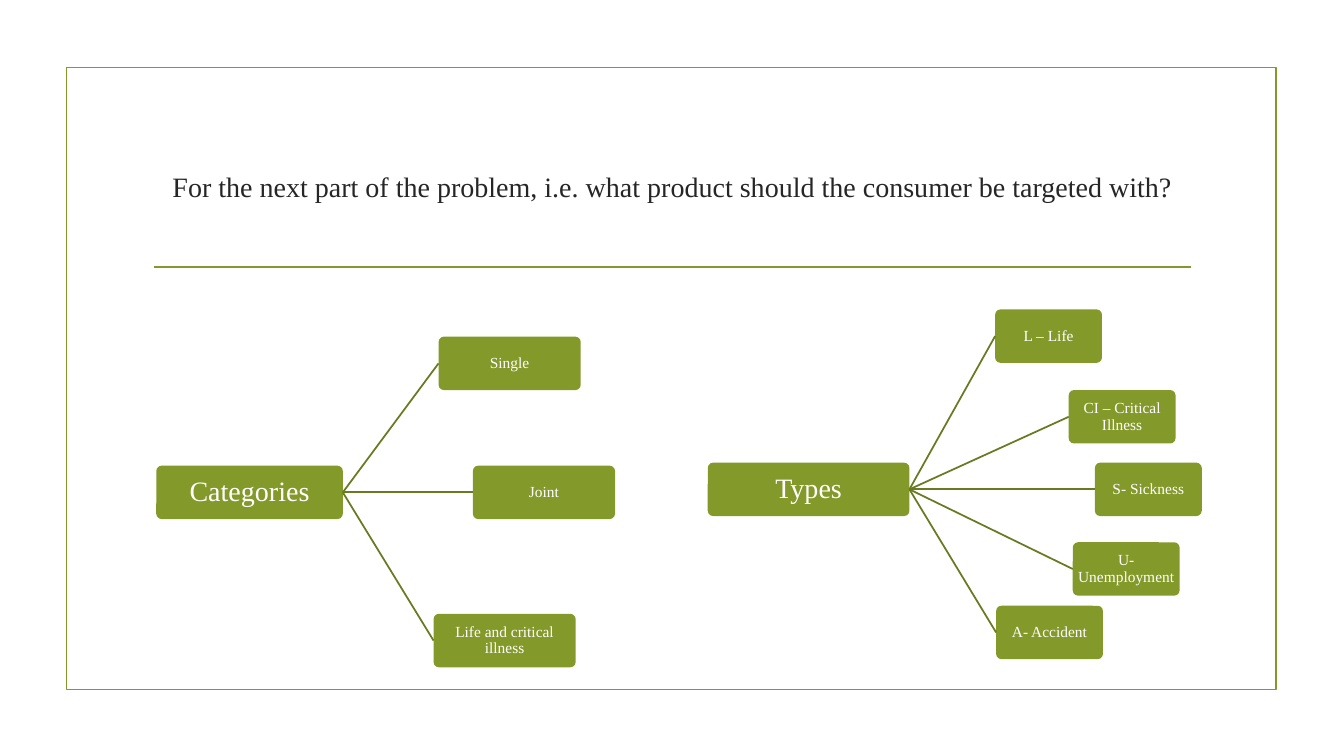
"""Build the slide of product categories and types as two branching diagrams."""
from lxml.etree import SubElement
from pptx import Presentation
from pptx.dml.color import RGBColor
from pptx.enum.shapes import MSO_CONNECTOR, MSO_SHAPE
from pptx.enum.text import MSO_ANCHOR, MSO_AUTO_SIZE, PP_ALIGN
from pptx.oxml.ns import qn
from pptx.util import Inches, Pt

TITLE = "For the next part of the problem, i.e. what product should the consumer be targeted with?"
DIAGRAMS = [
    {"root": ("Categories", 1.55, 4.62), "root_width": 1.85, "branch_width": 1.41,
     "branches": [("Single", 4.35, 3.34), ("Joint", 4.69, 4.62),
                  ("Life and critical illness", 4.3, 6.09)]},
    {"root": ("Types", 7.02, 4.59), "root_width": 2, "branch_width": 1.06,
     "branches": [("L – Life", 9.87, 3.07), ("CI – Critical Illness", 10.6, 3.87),
                  ("S- Sickness", 10.86, 4.59), ("U- Unemployment", 10.64, 5.38),
                  ("A- Accident", 9.88, 6.01)]},
]

GREEN = RGBColor(0x83, 0x99, 0x2A)
DARK_GREEN = RGBColor(0x69, 0x7B, 0x22)
WHITE = RGBColor(0xFF, 0xFF, 0xFF)
CHARCOAL = RGBColor(0x26, 0x26, 0x26)
FONT = "Times New Roman"
LINE_WIDTH = Pt(1.25)
BOX_HEIGHT = 0.53
LARGE, SMALL = 20, 11

BOX_FRAME = {"word_wrap": True, "vertical_anchor": MSO_ANCHOR.MIDDLE,
             "margin_left": Inches(0.03), "margin_right": Inches(0.03),
             "margin_top": Inches(0.03), "margin_bottom": Inches(0.03)}
TITLE_FRAME = {"word_wrap": True, "auto_size": MSO_AUTO_SIZE.NONE,
               "vertical_anchor": MSO_ANCHOR.BOTTOM, "margin_bottom": Inches(0.44)}


def set_attributes(target, values):
    for name, value in values.items():
        setattr(target, name, value)


def write_text(shape, text, size, color, frame_format, line_spacing):
    frame = shape.text_frame
    set_attributes(frame, frame_format)
    paragraph = frame.paragraphs[0]
    set_attributes(paragraph, {"alignment": PP_ALIGN.CENTER, "line_spacing": line_spacing})
    run = paragraph.add_run()
    run.text = text
    set_attributes(run.font, {"name": FONT, "size": Pt(size)})
    run.font.color.rgb = color


def add_box(slide, node, width, size):
    text, left, top = node
    box = slide.shapes.add_shape(MSO_SHAPE.ROUNDED_RECTANGLE, Inches(left), Inches(top),
                                 Inches(width), Inches(BOX_HEIGHT))
    box.adjustments[0] = 0.1
    box.shadow.inherit = False
    box.fill.solid()
    box.fill.fore_color.rgb = GREEN
    box.line.fill.background()
    write_text(box, text, size, WHITE, BOX_FRAME, 0.9)
    return box


def add_line(slide, color, start=(0, 0), end=(0, 0)):
    points = [Inches(value) for value in (*start, *end)]
    line = slide.shapes.add_connector(MSO_CONNECTOR.STRAIGHT, *points)
    line.line.color.rgb = color
    line.line.width = LINE_WIDTH
    SubElement(line._element.spPr, qn("a:effectLst"))
    return line


def add_diagram(slide, diagram):
    root = add_box(slide, diagram["root"], diagram["root_width"], LARGE)
    for node in diagram["branches"]:
        branch = add_box(slide, node, diagram["branch_width"], SMALL)
        link = add_line(slide, DARK_GREEN)
        link.begin_connect(root, 3)
        link.end_connect(branch, 1)


def add_border(slide):
    border = slide.shapes.add_shape(MSO_SHAPE.RECTANGLE, Inches(0.66), Inches(0.67),
                                    Inches(12), Inches(6.17))
    border.shadow.inherit = False
    border.fill.background()
    border.line.color.rgb = GREEN
    border.line.width = LINE_WIDTH


def main():
    presentation = Presentation()
    set_attributes(presentation, {"slide_width": Inches(13.33), "slide_height": Inches(7.5)})
    slide = presentation.slides.add_slide(presentation.slide_layouts[5])
    add_border(slide)
    add_line(slide, GREEN, (1.53, 2.65), (11.81, 2.65))
    title = slide.shapes.title
    set_attributes(title, {"left": Inches(1.42), "top": Inches(1.02),
                           "width": Inches(10.5), "height": Inches(1.44)})
    write_text(title, TITLE, LARGE, CHARCOAL, TITLE_FRAME, 1.0)
    for diagram in DIAGRAMS:
        add_diagram(slide, diagram)
    presentation.save("out.pptx")


if __name__ == "__main__":
    main()
